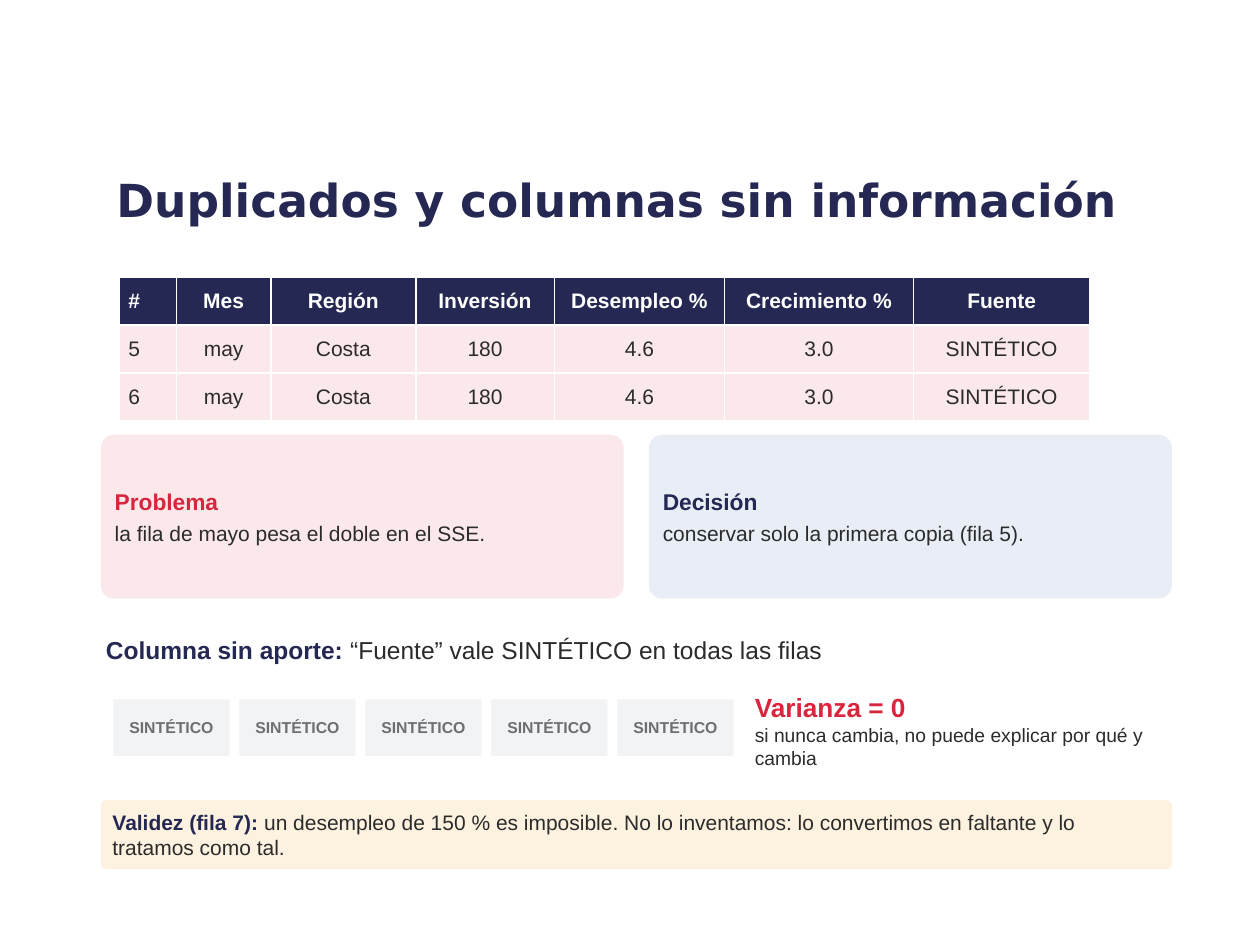
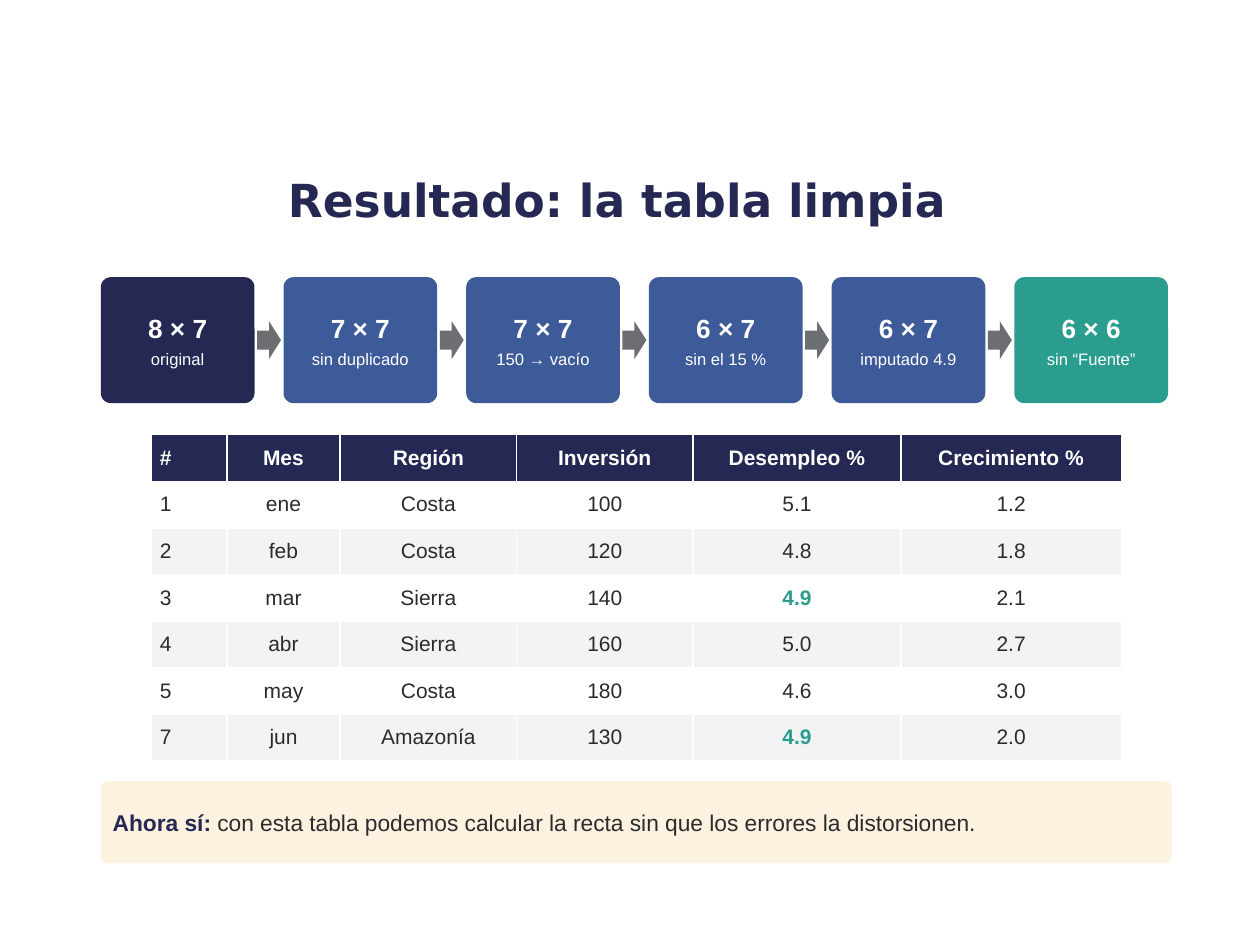
"""Builds two slides on cleaning a data table: duplicates and the clean result."""
from dataclasses import dataclass

from pptx import Presentation
from pptx.dml.color import RGBColor as Color
from pptx.enum.shapes import MSO_SHAPE as Shape
from pptx.enum.text import MSO_ANCHOR as Anchor, PP_ALIGN as Align
from pptx.util import Inches, Pt


@dataclass(frozen=True)
class Theme:
    navy: str = "242852"
    blue: str = "3D5A99"
    teal: str = "2A9D8F"
    red: str = "D7263D"
    ink: str = "2B2B2B"
    gray: str = "6D6E71"
    white: str = "FFFFFF"
    pale_red: str = "FBE8EA"
    pale_blue: str = "E8EDF6"
    pale_gray: str = "F2F3F5"
    cream: str = "FDF2E0"
    title_font: str = "DejaVu Sans"
    body_font: str = "Arial"
    title: float = 26
    figure: float = 15
    lead: float = 14
    heading: float = 13
    body: float = 12
    small: float = 11
    caption: float = 9.5
    tag: float = 9


theme = Theme()


def write_text(holder, frame, paragraphs, align=Align.LEFT, anchor=Anchor.MIDDLE,
               inset=(0.08, 0.08), after=3, font=theme.body_font):
    across, down = inset
    layout = {"margin_left": Inches(across), "margin_right": Inches(across),
              "margin_top": Inches(down), "margin_bottom": Inches(down),
              "vertical_anchor": anchor}
    for name, value in layout.items():
        setattr(holder, name, value)
    for index, spans in enumerate(paragraphs):
        para = frame.add_paragraph() if index else frame.paragraphs[0]
        para.alignment = align
        para.space_after = Pt(after)
        for text, size, color, bold in spans:
            span = para.add_run()
            span.text = text
            for name, value in {"name": font, "size": Pt(size), "bold": bold}.items():
                setattr(span.font, name, value)
            span.font.color.rgb = Color.from_string(color)


def add_box(page, place, paragraphs=(), fill=None, kind=Shape.ROUNDED_RECTANGLE, **text_format):
    place = [Inches(length) for length in place]
    if fill is None:
        box = page.shapes.add_textbox(*place)
    else:
        box = page.shapes.add_shape(kind, *place)
        box.shadow.inherit = False
        box.fill.solid()
        box.fill.fore_color.rgb = Color.from_string(fill)
        box.line.fill.background()
        if kind == Shape.ROUNDED_RECTANGLE:
            box.adjustments[0] = 0.08
    box.text_frame.word_wrap = True
    write_text(box.text_frame, box.text_frame, paragraphs, **text_format)


deck = Presentation()
deck.slide_width, deck.slide_height = Inches(10), Inches(7.5)

header = ["#", "Mes", "Región", "Inversión", "Desempleo %", "Crecimiento %"]
contents = [
    {
        "title": "Duplicados y columnas sin información",
        "corner": (0.95, 2.2),
        "widths": [0.45, 0.75, 1.15, 1.1, 1.35, 1.5, 1.4],
        "row_height": 0.38,
        "fills": [theme.pale_red, theme.pale_red],
        "rows": [
            [*header, "Fuente"],
            ["5", "may", "Costa", "180", "4.6", "3.0", "SINTÉTICO"],
            ["6", "may", "Costa", "180", "4.6", "3.0", "SINTÉTICO"],
        ],
        "imputed": "",
        "note_place": (0.8, 6.35, 8.5, 0.55),
        "note_size": theme.body,
        "note": ("Validez (fila 7): ", "un desempleo de 150 % es imposible. No lo inventamos: "
                 "lo convertimos en faltante y lo tratamos como tal."),
    },
    {
        "title": "Resultado: la tabla limpia",
        "corner": (1.2, 3.45),
        "widths": [0.6, 0.9, 1.4, 1.4, 1.65, 1.75],
        "row_height": 0.37,
        "fills": [theme.white, theme.pale_gray],
        "rows": [
            header,
            ["1", "ene", "Costa", "100", "5.1", "1.2"],
            ["2", "feb", "Costa", "120", "4.8", "1.8"],
            ["3", "mar", "Sierra", "140", "4.9", "2.1"],
            ["4", "abr", "Sierra", "160", "5.0", "2.7"],
            ["5", "may", "Costa", "180", "4.6", "3.0"],
            ["7", "jun", "Amazonía", "130", "4.9", "2.0"],
        ],
        "imputed": "4.9",
        "note_place": (0.8, 6.2, 8.5, 0.65),
        "note_size": theme.heading,
        "note": ("Ahora sí: ", "con esta tabla podemos calcular la recta sin que los errores "
                 "la distorsionen."),
    },
]

pages = []
for content in contents:
    page = deck.slides.add_slide(deck.slide_layouts[6])
    pages.append(page)
    add_box(page, (0.75, 1.18, 8.3, 0.8),
            [[(content["title"], theme.title, theme.navy, True)]],
            align=Align.CENTER, inset=(0.1, 0.05), after=0, font=theme.title_font)

    rows, widths = content["rows"], content["widths"]
    left, top = content["corner"]
    table = page.shapes.add_table(
        len(rows), len(widths), Inches(left), Inches(top),
        Inches(sum(widths)), Inches(content["row_height"] * len(rows))).table
    for column, width in zip(table.columns, widths):
        column.width = Inches(width)
    for row_index, values in enumerate(rows):
        table.rows[row_index].height = Inches(content["row_height"])
        is_header = row_index == 0
        fill = theme.navy if is_header else content["fills"][(row_index - 1) % 2]
        for column_index, value in enumerate(values):
            is_imputed = value == content["imputed"]
            color = theme.white if is_header else theme.teal if is_imputed else theme.ink
            cell = table.cell(row_index, column_index)
            cell.fill.solid()
            cell.fill.fore_color.rgb = Color.from_string(fill)
            write_text(cell, cell.text_frame,
                       [[(value, theme.body, color, is_header or is_imputed)]],
                       align=Align.CENTER if column_index else Align.LEFT,
                       inset=(0.07, 0.03), after=0)

    label, message = content["note"]
    add_box(page, content["note_place"],
            [[(label, content["note_size"], theme.navy, True),
              (message, content["note_size"], theme.ink, False)]], theme.cream)

duplicates, result = pages

cards = [
    ("Problema", "la fila de mayo pesa el doble en el SSE.", theme.red, theme.pale_red),
    ("Decisión", "conservar solo la primera copia (fila 5).", theme.navy, theme.pale_blue),
]
for index, (heading, message, color, fill) in enumerate(cards):
    add_box(duplicates, (0.8 + 4.35 * index, 3.45, 4.15, 1.3),
            [[(heading, theme.heading, color, True)],
             [(message, theme.body, theme.ink, False)]], fill)

add_box(duplicates, (0.8, 5, 8.5, 0.4),
        [[("Columna sin aporte: ", theme.lead, theme.navy, True),
          ("“Fuente” vale SINTÉTICO en todas las filas", theme.lead, theme.ink, False)]],
        anchor=Anchor.TOP, inset=(0.04, 0.04), after=4)
for index in range(5):
    add_box(duplicates, (0.9 + index, 5.55, 0.92, 0.45),
            [[("SINTÉTICO", theme.tag, theme.gray, True)]],
            theme.pale_gray, Shape.RECTANGLE, align=Align.CENTER)
add_box(duplicates, (5.95, 5.45, 3.35, 0.9),
        [[("Varianza = 0", theme.figure, theme.red, True)],
         [("si nunca cambia, no puede explicar por qué y cambia", theme.small, theme.ink, False)]],
        anchor=Anchor.TOP, inset=(0.04, 0.04), after=0)

steps = [
    ("8 × 7", "original", theme.navy),
    ("7 × 7", "sin duplicado", theme.blue),
    ("7 × 7", "150 → vacío", theme.blue),
    ("6 × 7", "sin el 15 %", theme.blue),
    ("6 × 7", "imputado 4.9", theme.blue),
    ("6 × 6", "sin “Fuente”", theme.teal),
]
for index, (dimensions, action, fill) in enumerate(steps):
    left = 0.8 + 1.45 * index
    add_box(result, (left, 2.2, 1.22, 1),
            [[(dimensions, theme.figure, theme.white, True)],
             [(action, theme.caption, theme.white, False)]],
            fill, align=Align.CENTER, inset=(0.03, 0.03))
    if index < len(steps) - 1:
        add_box(result, (left + 1.24, 2.55, 0.19, 0.3), fill=theme.gray, kind=Shape.RIGHT_ARROW)

deck.save("out.pptx")
